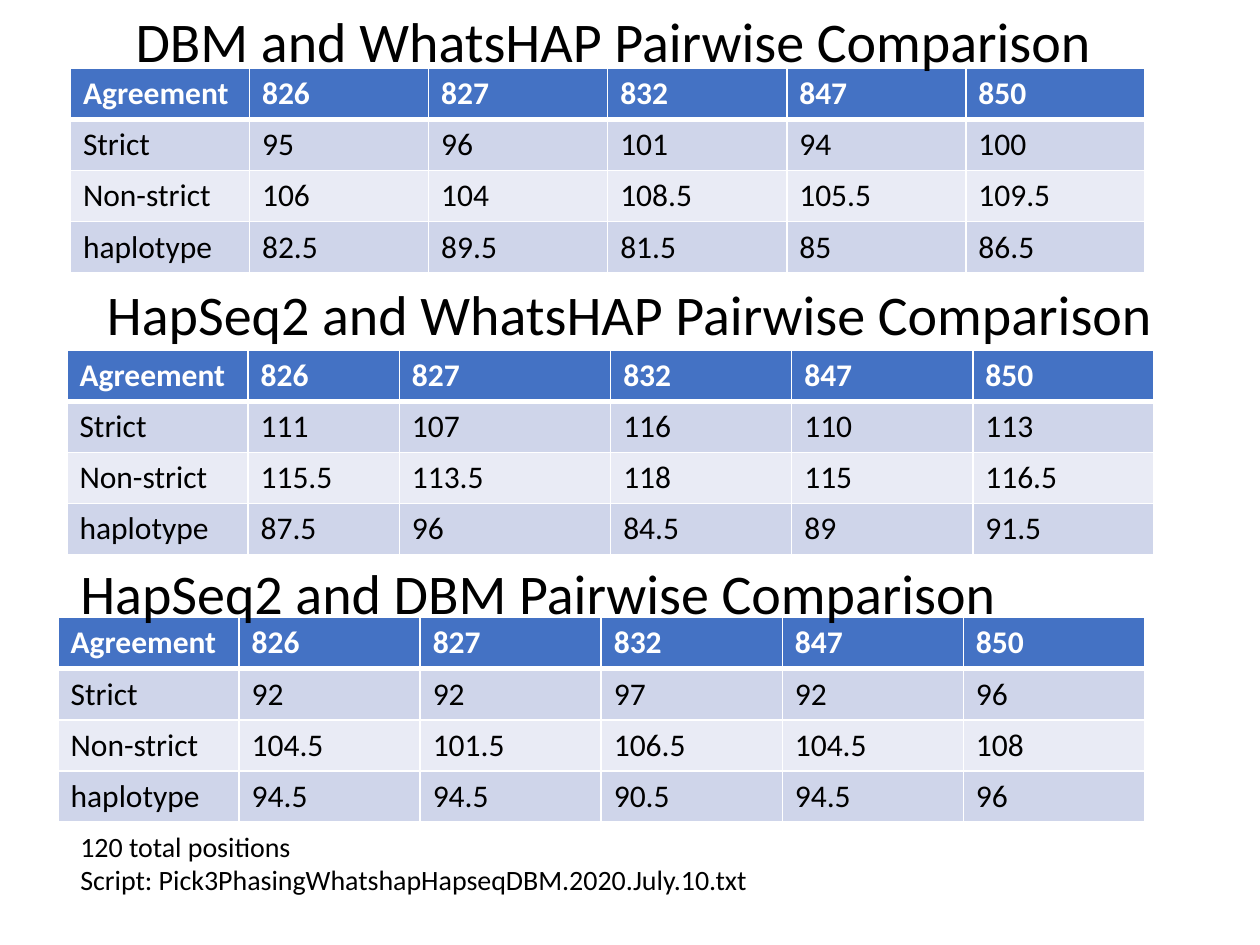
from dataclasses import dataclass

import pptx
import pptx.dml.color
import pptx.enum.text
import pptx.oxml
import pptx.oxml.ns
import pptx.util

Cm = pptx.util.Cm
Align = pptx.enum.text.PP_ALIGN


@dataclass(frozen=True)
class Theme:
    font: str = "Calibri"
    ink: str = "000000"
    paper: str = "FFFFFF"
    header: str = "4472C4"
    bands: tuple[str, str] = ("CFD5EA", "E9EBF5")
    heading_size: int = 32
    cell_size: int = 18
    note_size: int = 16
    rule: int = 1
    header_rule: int = 3


@dataclass(frozen=True)
class Area:
    """Left, top, width and height in centimetres."""
    left: float
    top: float
    width: float
    height: float = 1.63


@dataclass(frozen=True)
class Comparison:
    heading: str
    heading_area: Area
    align: Align
    table_left: float
    table_top: float
    columns: tuple[float, ...]
    values: tuple[str, ...]  # one string for each row label


THEME = Theme()
ROW_HEIGHT = 1.03
HEADER = "Agreement 826 827 832 847 850".split()
ROW_LABELS = ("Strict", "Non-strict", "haplotype")

COMPARISONS = (
    Comparison("DBM and WhatsHAP Pairwise Comparison",
               Area(1.42, 0, 21.9), Align.CENTER, 1.42, 1.38, (3.61,) * 6,
               ("95 96 101 94 100",
                "106 104 108.5 105.5 109.5",
                "82.5 89.5 81.5 85 86.5")),
    Comparison("HapSeq2 and WhatsHAP Pairwise Comparison",
               Area(1.75, 5.51, 21.9), Align.CENTER, 1.35, 7.06,
               (3.65, 3.05, 4.26, 3.65, 3.65, 3.65),
               ("111 107 116 110 113",
                "115.5 113.5 118 115 116.5",
                "87.5 96 84.5 89 91.5")),
    Comparison("HapSeq2 and DBM Pairwise Comparison",
               Area(1.37, 11.13, 24.13), Align.LEFT, 1.17, 12.45, (3.65,) * 6,
               ("92 92 97 92 96",
                "104.5 101.5 106.5 104.5 108",
                "94.5 94.5 90.5 94.5 96")),
)

NOTES = ("120 total positions",
         "Script: Pick3PhasingWhatshapHapseqDBM.2020.July.10.txt")


def add_span(para, text: str, size: int, color: str, bold: bool = False) -> None:
    span = para.add_run()
    span.text = text
    span.font.name = THEME.font
    span.font.size = pptx.util.Pt(size)
    span.font.bold = bold
    span.font.color.rgb = pptx.dml.color.RGBColor.from_string(color)


def fill_box(box, area: Area, lines: tuple[str, ...], size: int, align: Align) -> None:
    """Place a text box or placeholder and write its lines."""
    box.left, box.top = Cm(area.left), Cm(area.top)
    box.width, box.height = Cm(area.width), Cm(area.height)
    frame = box.text_frame
    frame.word_wrap = True
    frame.auto_size = pptx.enum.text.MSO_AUTO_SIZE.SHAPE_TO_FIT_TEXT
    frame.vertical_anchor = pptx.enum.text.MSO_ANCHOR.TOP
    for index, line in enumerate(lines):
        para = frame.add_paragraph() if index else frame.paragraphs[0]
        para.alignment = align
        add_span(para, line, size, THEME.ink)


def add_text_box(page):
    return page.shapes.add_textbox(0, 0, Cm(1), Cm(1))


def set_borders(cell, top: int, bottom: int) -> None:
    properties = cell._tc.get_or_add_tcPr()
    widths = {"L": THEME.rule, "R": THEME.rule, "T": top, "B": bottom}
    for side, points in widths.items():
        properties.append(pptx.oxml.parse_xml(
            f'<a:ln{side} {pptx.oxml.ns.nsdecls("a")} w="{pptx.util.Pt(points)}">'
            f'<a:solidFill><a:srgbClr val="{THEME.paper}"/></a:solidFill>'
            f'</a:ln{side}>'))


def format_cell(cell, text: str, row: int) -> None:
    is_header = row == 0
    set_borders(cell,
                top=THEME.header_rule if row == 1 else THEME.rule,
                bottom=THEME.header_rule if is_header else THEME.rule)
    color = THEME.header if is_header else THEME.bands[(row - 1) % 2]
    cell.fill.solid()
    cell.fill.fore_color.rgb = pptx.dml.color.RGBColor.from_string(color)
    add_span(cell.text_frame.paragraphs[0], text, THEME.cell_size,
             THEME.paper if is_header else THEME.ink, bold=is_header)


def add_comparison_table(page, comparison: Comparison):
    rows = [HEADER] + [[label, *values.split()]
                       for label, values in zip(ROW_LABELS, comparison.values)]
    holder = page.shapes.add_table(
        len(rows), len(HEADER), Cm(comparison.table_left), Cm(comparison.table_top),
        Cm(sum(comparison.columns)), Cm(ROW_HEIGHT * len(rows)))
    table = holder.table
    for column, width in zip(table.columns, comparison.columns):
        column.width = Cm(width)
    for row, texts in enumerate(rows):
        table.rows[row].height = Cm(ROW_HEIGHT)
        for column, text in enumerate(texts):
            format_cell(table.cell(row, column), text, row)
    return holder


def main() -> None:
    deck = pptx.Presentation()
    deck.slide_width, deck.slide_height = Cm(25.4), Cm(19.05)
    page = deck.slides.add_slide(deck.slide_layouts[5])  # title only

    # Each table with its heading in front; the first heading is the slide title
    for index, comparison in enumerate(COMPARISONS):
        holder = add_comparison_table(page, comparison)
        box = add_text_box(page) if index else page.shapes.title
        fill_box(box, comparison.heading_area, (comparison.heading,),
                 THEME.heading_size, comparison.align)
        holder.element.addnext(box.element)

    # Notes under the last table
    fill_box(add_text_box(page), Area(1.37, 16.59, 21.9), NOTES,
             THEME.note_size, Align.LEFT)

    deck.save("out.pptx")


if __name__ == "__main__":
    main()
